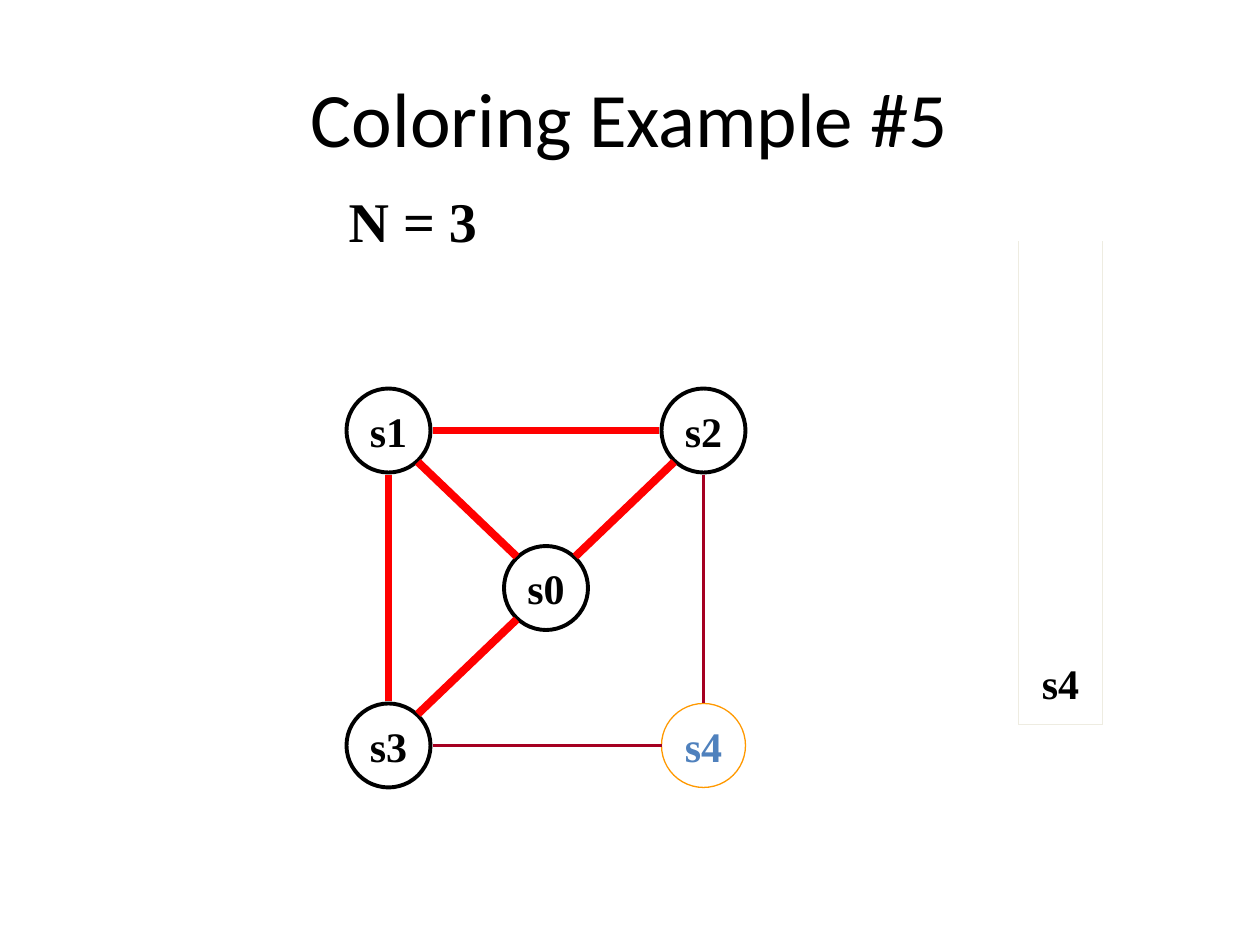
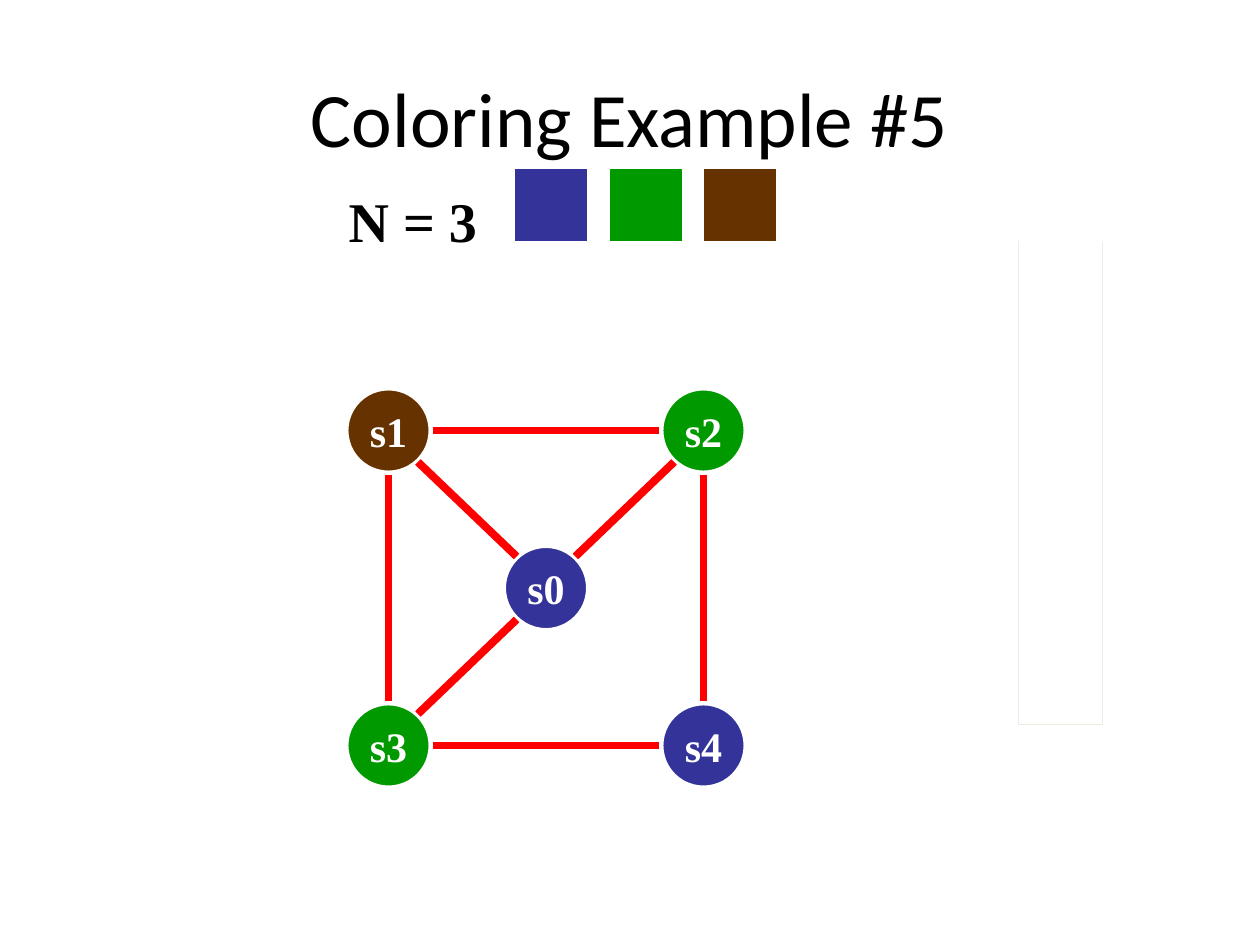
import pptx
import pptx.util
import pptx.dml.color
import pptx.enum.shapes
import pptx.enum.text
import pptx.oxml.ns
import lxml.etree

RGB = pptx.dml.color.RGBColor
SHAPE = pptx.enum.shapes.MSO_SHAPE
BLACK = RGB(0x00, 0x00, 0x00)
WHITE = RGB(0xFF, 0xFF, 0xFF)
BLUE = RGB(0x33, 0x33, 0x99)
GREEN = RGB(0x00, 0x99, 0x00)
BROWN = RGB(0x66, 0x33, 0x00)
RED = RGB(0xFF, 0x00, 0x00)
WINE = RGB(0xA5, 0x00, 0x21)
AMBER = RGB(0xFF, 0x99, 0x00)
STEEL = RGB(0x4F, 0x81, 0xBD)
CREAM = RGB(0xEE, 0xEC, 0xE1)
SERIF = "Times New Roman"

TITLE = "Coloring Example #5"
COUNT = "N = 3"
# Column and row of each node in the graph
NODES = {"s1": (0, 0), "s2": (2, 0), "s3": (0, 2), "s4": (2, 2), "s0": (1, 1)}
EDGES = [("s1", "s2"), ("s0", "s2"), ("s1", "s0"), ("s1", "s3"),
         ("s3", "s4"), ("s2", "s4"), ("s3", "s0")]
# Node style: fill, outline, outline width, text colour
OPEN = (None, BLACK, 2.25, BLACK)
PULLED = (None, AMBER, 0.75, STEEL)


def painted(fill):
    return (fill, WHITE, 2.25, WHITE)


SLIDES = [
    {"styles": {**dict.fromkeys(NODES, OPEN), "s4": PULLED},
     "weak": "s4", "stack": ["s4"], "swatches": []},
    {"styles": {"s0": painted(BLUE), "s1": painted(BROWN),
                "s2": painted(GREEN), "s3": painted(GREEN),
                "s4": painted(BLUE)},
     "weak": None, "stack": [], "swatches": [BLUE, GREEN, BROWN]},
]

# Lengths in grid units of a twelfth of an inch
LEFT, TOP, STEP, RADIUS = 37, 41, 15, 4
GAP = 4.2            # node centre to the end of a straight edge
SLANT = (2.8, 3)     # the same for a diagonal edge, across and down
STACK = (97, 23, 105, 69)
SLOT = 8             # height of one stack entry
SWATCH, PITCH = 7, 9


def unit(n):
    return pptx.util.Inches(n / 12)


def write(slide, text, box, size, color, font=SERIF, bold=True):
    shape = slide.shapes.add_textbox(*map(unit, box))
    frame = shape.text_frame
    frame.text = text
    frame.word_wrap = True
    frame.margin_left = frame.margin_right = 0
    frame.vertical_anchor = pptx.enum.text.MSO_ANCHOR.MIDDLE
    line = frame.paragraphs[0]
    line.alignment = pptx.enum.text.PP_ALIGN.CENTER
    face = line.runs[0].font
    face.name, face.size, face.bold = font, pptx.util.Pt(size), bold
    face.color.rgb = color


def label(slide, text, x, y, color):
    """Write a node name centred on a point."""
    write(slide, text, (x - 2.94, y - 3, 5.88, 6), 24, color)


def draw(slide, kind, box, fill, edge, width):
    shape = slide.shapes.add_shape(kind, *map(unit, box))
    shape.shadow.inherit = False
    if fill is None:
        shape.fill.background()
    else:
        shape.fill.solid()
        shape.fill.fore_color.rgb = fill
    shape.line.color.rgb = edge
    shape.line.width = pptx.util.Pt(width)


def rule(slide, start, end, color, width):
    line = slide.shapes.add_connector(
        pptx.enum.shapes.MSO_CONNECTOR.STRAIGHT, *map(unit, start + end))
    line.line.color.rgb = color
    line.line.width = pptx.util.Pt(width)
    props = line._element.spPr
    lxml.etree.SubElement(props, pptx.oxml.ns.qn("a:effectLst"))


def centre(name):
    col, row = NODES[name]
    return LEFT + col * STEP, TOP + row * STEP


def rim(name, other, weak):
    """Give the point near a node where its edge to another node ends."""
    here, there = centre(name), centre(other)
    signs = [(b > a) - (b < a) for a, b in zip(here, there)]
    reach = SLANT if all(signs) else (GAP, GAP)
    if name == weak:
        reach = (RADIUS, RADIUS)
    return tuple(a + s * r for a, s, r in zip(here, signs, reach))


def graph(slide, styles, weak):
    for name in NODES:
        x, y = centre(name)
        fill, edge, width, ink = styles[name]
        draw(slide, SHAPE.OVAL,
             (x - RADIUS, y - RADIUS, 2 * RADIUS, 2 * RADIUS),
             fill, edge, width)
        label(slide, name, x, y, ink)
    for a, b in EDGES:
        color, width = (WINE, 2.25) if weak in (a, b) else (RED, 4.5)
        rule(slide, rim(a, b, weak), rim(b, a, weak), color, width)


def stack(slide, names):
    left, top, right, base = STACK
    for start, end in [((left, top), (left, base)),
                       ((right, top), (right, base)),
                       ((left, base), (right, base))]:
        rule(slide, start, end, CREAM, 0.75)
    for i, name in enumerate(names):
        label(slide, name, (left + right) / 2, base - SLOT * (i + 0.5), BLACK)


def main():
    deck = pptx.Presentation()
    deck.slide_width = pptx.util.Inches(10)
    deck.slide_height = pptx.util.Inches(7.5)
    for part in SLIDES:
        slide = deck.slides.add_slide(deck.slide_layouts[6])
        write(slide, TITLE, (6, 3.6, 108, 15), 44, BLACK, "Calibri", False)
        stack(slide, part["stack"])
        graph(slide, part["styles"], part["weak"])
        write(slide, COUNT, (32, 17.1, 14.64, 7.68), 32, BLACK)
        for i, color in enumerate(part["swatches"]):
            draw(slide, SHAPE.RECTANGLE, (49 + i * PITCH, 16, SWATCH, SWATCH),
                 color, WHITE, 0.75)
    deck.save("out.pptx")


if __name__ == "__main__":
    main()
